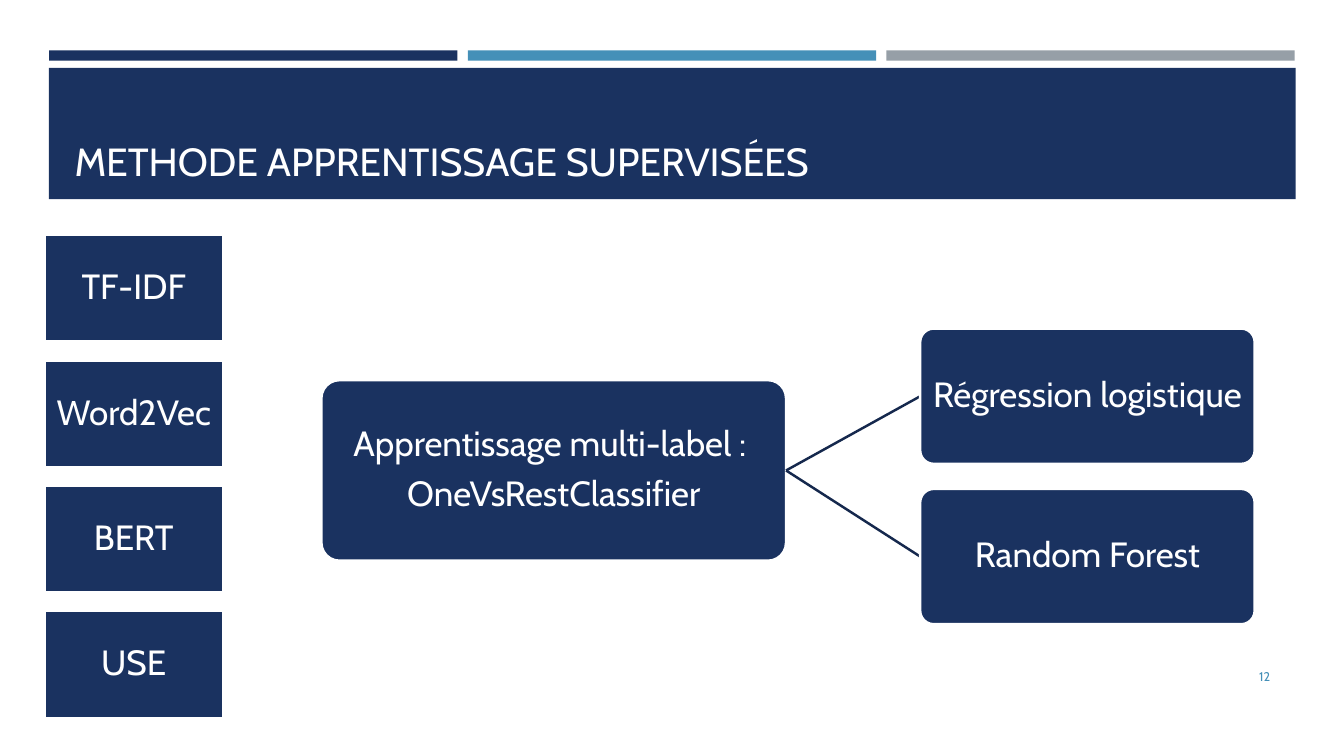
from dataclasses import dataclass, field
from typing import Any

from lxml.etree import SubElement
from pptx import Presentation
from pptx.dml.color import RGBColor
from pptx.enum.shapes import MSO_CONNECTOR as Link, MSO_SHAPE as Kind
from pptx.enum.text import MSO_ANCHOR as Anchor, PP_ALIGN as Align
from pptx.oxml.ns import qn
from pptx.util import Cm, Pt


@dataclass(frozen=True)
class Theme:
    font: str = "Cabin"
    navy: str = "1A3260"
    blue: str = "4590B8"
    gray: str = "969FA7"
    link: str = "15284D"
    white: str = "FFFFFF"
    title: float = 28
    body: float = 25
    page: float = 9
    line: float = 1.75


THEME = Theme()


@dataclass(frozen=True)
class Area:
    left: float
    top: float
    width: float
    height: float

    def move(self, right: float = 0, down: float = 0) -> "Area":
        return Area(self.left + right, self.top + down, self.width, self.height)

    def frame(self) -> list[Cm]:
        return [Cm(v) for v in (self.left, self.top, self.width, self.height)]


@dataclass(frozen=True)
class Label:
    lines: tuple[str, ...]
    size: float = THEME.body
    color: str = THEME.white
    inset: float = 0.25
    anchor: Anchor = Anchor.MIDDLE
    para: dict[str, Any] = field(default_factory=lambda: {
        "alignment": Align.CENTER, "line_spacing": 0.9, "space_after": Pt(8.75)})


@dataclass(frozen=True)
class Box:
    area: Area
    label: Label
    kind: Kind = Kind.ROUNDED_RECTANGLE


def apply(target: Any, style: dict[str, Any]) -> None:
    for name, value in style.items():
        setattr(target, name, value)


def write(shape: Any, label: Label) -> None:
    frame = shape.text_frame
    inset = Cm(label.inset)
    apply(frame, {"word_wrap": True, "vertical_anchor": label.anchor,
                  "margin_left": inset, "margin_right": inset,
                  "margin_top": Cm(0.13), "margin_bottom": Cm(0.13)})
    for index, line in enumerate(label.lines):
        para = frame.add_paragraph() if index else frame.paragraphs[0]
        apply(para, label.para)
        run = para.add_run()
        run.text = line
        apply(run.font, {"name": THEME.font, "size": Pt(label.size)})
        run.font.color.rgb = RGBColor.from_string(label.color)


def paint(slide: Any, area: Area, color: str, kind: Kind = Kind.RECTANGLE) -> Any:
    shape = slide.shapes.add_shape(kind, *area.frame())
    shape.shadow.inherit = False
    shape.fill.solid()
    shape.fill.fore_color.rgb = RGBColor.from_string(color)
    shape.line.fill.background()
    return shape


def stroke(line: Any, color: str) -> None:
    line.width = Pt(THEME.line)
    line.color.rgb = RGBColor.from_string(color)


def place(slide: Any, box: Box) -> None:
    shape = paint(slide, box.area, THEME.navy, box.kind)
    if box.kind == Kind.ROUNDED_RECTANGLE:
        shape.adjustments[0] = 0.1
    stroke(shape.line, THEME.white)
    write(shape, box.label)


def join(slide: Any, start: Area, end: Area) -> None:
    ends = (start.left + start.width, start.top + start.height / 2,
            end.left, end.top + end.height / 2)
    link = slide.shapes.add_connector(Link.STRAIGHT, *[Cm(v) for v in ends])
    stroke(link.line, THEME.link)
    SubElement(link._element.spPr, qn("a:effectLst"))


def note(slide: Any, area: Area, label: Label) -> None:
    write(slide.shapes.add_textbox(*area.frame()), label)


def head(slide: Any) -> None:
    bar = Area(1.24, 1.27, 10.29, 0.26)
    for index, color in enumerate((THEME.navy, THEME.blue, THEME.gray)):
        paint(slide, bar.move(right=index * 10.55), color)
    paint(slide, Area(1.23, 1.71, 31.42, 3.31), THEME.navy)
    title = Label(("METHODE APPRENTISSAGE SUPERVISÉES",), THEME.title,
                  anchor=Anchor.BOTTOM, para={"alignment": Align.LEFT})
    note(slide, Area(1.63, 1.96, 30.63, 2.82), title)


def tree(slide: Any) -> None:
    root = Box(Area(8.1, 9.58, 11.71, 4.55), Label(
        ("Apprentissage multi-label : ", "OneVsRestClassifier"), inset=0.18))
    place(slide, root)
    leaf = Area(23.19, 8.28, 8.43, 3.41)
    for index, name in enumerate(("Régression logistique ", "Random Forest")):
        area = leaf.move(down=index * 4.04)
        join(slide, root.area, area)
        place(slide, Box(area, Label((name,), inset=0.16)))


def stack(slide: Any) -> None:
    tile = Area(1.12, 5.92, 4.5, 2.69)
    for index, name in enumerate(("TF-IDF", "Word2Vec", "BERT", "USE")):
        area = tile.move(down=index * 3.16)
        place(slide, Box(area, Label((name,)), Kind.RECTANGLE))


def main() -> None:
    deck = Presentation()
    apply(deck, {"slide_width": Cm(33.87), "slide_height": Cm(19.05)})
    slide = deck.slides.add_slide(deck.slide_layouts[6])
    head(slide)
    note(slide, Area(29.34, 16.54, 2.92, 1.02),
         Label(("12",), THEME.page, THEME.blue, para={"alignment": Align.RIGHT}))
    tree(slide)
    stack(slide)
    deck.save("out.pptx")


if __name__ == "__main__":
    main()
